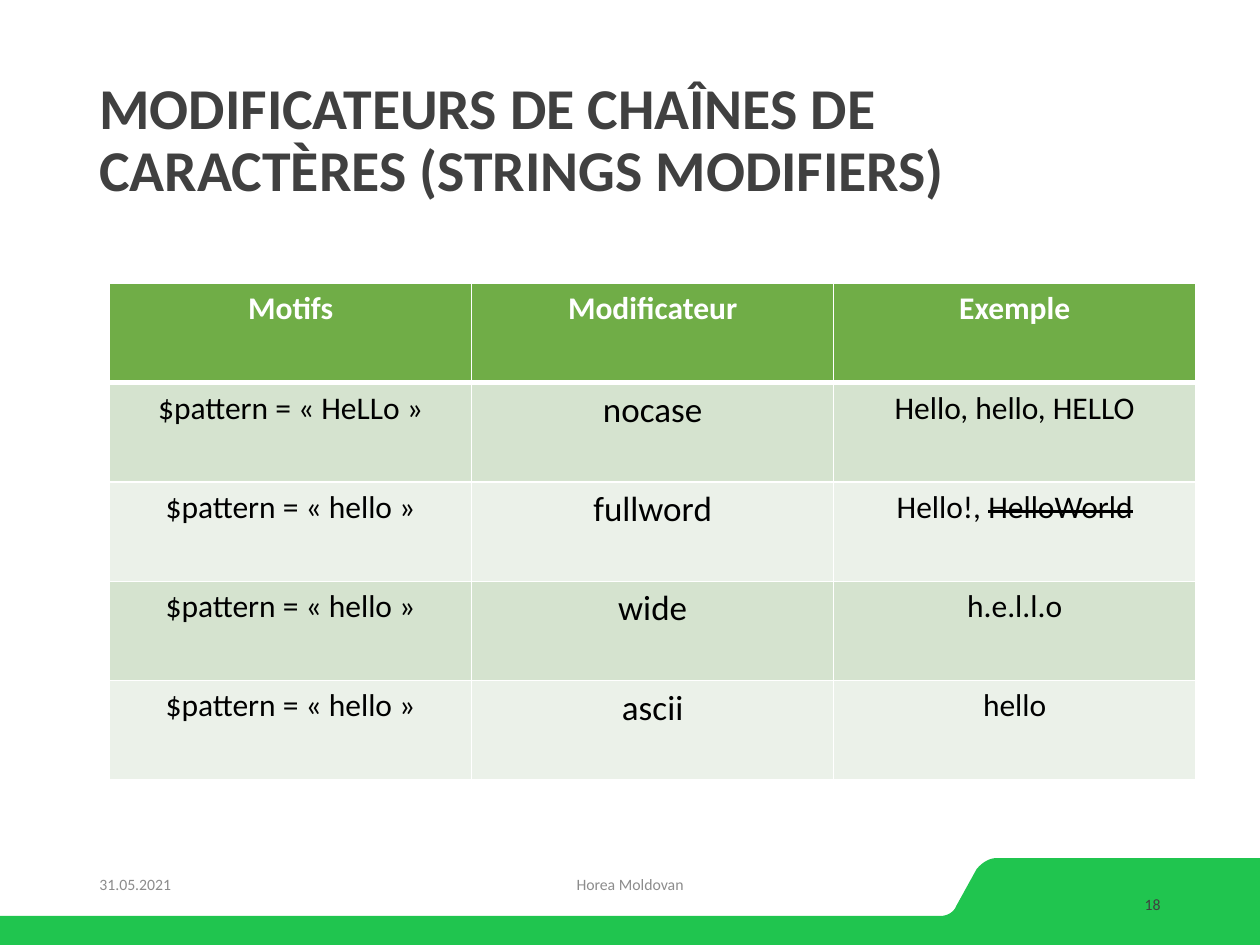
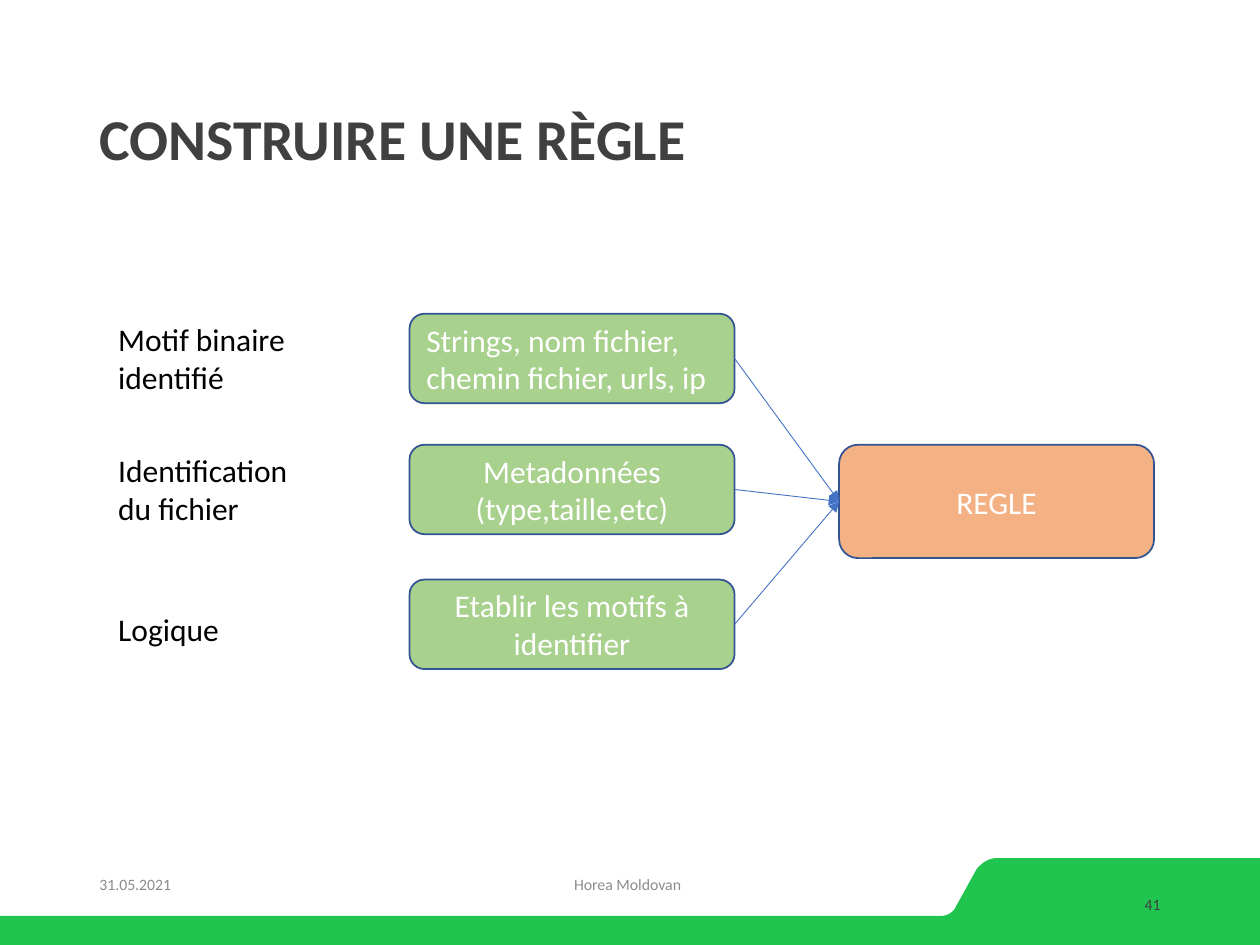
from dataclasses import dataclass
from lxml.etree import SubElement
from pptx import Presentation
from pptx.dml.color import RGBColor as Rgb
from pptx.enum.shapes import MSO_CONNECTOR as Connector, MSO_SHAPE as Preset
from pptx.enum.text import MSO_ANCHOR as Anchor, PP_ALIGN as Align
from pptx.oxml.ns import qn
from pptx.util import Emu, Inches, Pt

COLORS = {
    "band": "20C54F", "title": "404040", "muted": "8C8C8C", "text": "000000",
    "white": "FFFFFF", "header": "70AD47", "odd_row": "D5E3CF", "even_row": "EBF1E9",
    "step": "A9D18E", "rule": "F4B183", "outline": "325491", "arrow": "4472C4",
}
FONT = "Calibri"
# The slide is a grid of square units
COLUMNS, ROWS = 100, 75
UNIT = Inches(10) // COLUMNS


@dataclass
class Box:
    """Area of the slide in grid units."""
    left: float
    top: float
    width: float
    height: float

    def inner(self, left, top, width, height):
        return Box(self.left + left, self.top + top, width, height)

    def emu(self):
        return [Emu(round(n * UNIT)) for n in (self.left, self.top, self.width, self.height)]


SLIDE = Box(0, 0, COLUMNS, ROWS)
TITLE = SLIDE.inner(6.9, 4, 86.2, 14.5)
FOOTER = SLIDE.inner(0, 68.1, COLUMNS, 6.9)


def rgb(name):
    return Rgb.from_string(COLORS[name])


def apply(target, settings):
    for key, value in settings.items():
        setattr(target, key, value)


def write(frame, lines, size, color, bold=False, align=Align.LEFT, anchor=Anchor.MIDDLE, spacing=None):
    """Fill a frame; a line is a string or a list of (text, struck) pairs."""
    apply(frame, {"word_wrap": True, "vertical_anchor": anchor})
    for index, line in enumerate(lines):
        paragraph = frame.paragraphs[0] if index == 0 else frame.add_paragraph()
        apply(paragraph, {"alignment": align, "line_spacing": spacing})
        for text, struck in [(line, False)] if isinstance(line, str) else line:
            run = paragraph.add_run()
            run.text = text
            apply(run.font, {"name": FONT, "size": Pt(size), "bold": bold})
            run.font.color.rgb = rgb(color)
            if struck:
                run.font._element.set("strike", "sngStrike")


def add_text(slide, box, lines, size, color, **style):
    write(slide.shapes.add_textbox(*box.emu()).text_frame, lines, size, color, **style)


def paint(shape, fill, outline=None):
    shape.shadow.inherit = False
    shape.fill.solid()
    shape.fill.fore_color.rgb = rgb(fill)
    if outline:
        shape.line.color.rgb = rgb(outline)
        shape.line.width = Pt(1)
    else:
        shape.line.fill.background()


# Shared frame: title, band and footer
def curve(start, first, second, end, steps=12):
    """Points along a cubic curve, both ends included."""
    points = []
    for step in range(steps + 1):
        t = step / steps
        weights = ((1 - t) ** 3, 3 * t * (1 - t) ** 2, 3 * t * t * (1 - t), t ** 3)
        points.append(tuple(sum(w * p[axis] for w, p in zip(weights, (start, first, second, end)))
                            for axis in (0, 1)))
    return points


def add_band(slide, box):
    low = 4.6
    outline = [
        *curve((79.1, 0), (78.5, 0), (77.9, 0.4), (77.5, 0.9)),
        *curve((75.9, 3.8), (75.7, 4.3), (75.2, low), (74.6, low)),
        (0, low), (0, box.height), (box.width, box.height), (box.width, 0),
    ]
    points = [(round((box.left + x) * UNIT), round((box.top + y) * UNIT)) for x, y in outline]
    builder = slide.shapes.build_freeform(*points[0])
    builder.add_line_segments(points[1:], close=True)
    paint(builder.convert_to_shape(), "band")


def add_footer(slide, box, number, author_left):
    add_band(slide, box)
    entries = [
        (6.9, 0.1, 22.5, "31.05.2021", "muted", Align.LEFT),
        (author_left, 0.1, 33.8, "Horea Moldovan", "muted", Align.CENTER),
        (70.6, 1.7, 22.5, number, "title", Align.RIGHT),
    ]
    for left, top, width, text, color, align in entries:
        add_text(slide, box.inner(left, top, width, 4), [text], 9, color, align=align)


def new_slide(deck, title, number, author_left):
    slide = deck.slides.add_slide(deck.slide_layouts[6])
    add_footer(slide, FOOTER, number, author_left)
    add_text(slide, TITLE, [title], 33, "title", bold=True, spacing=0.9)
    return slide


# Table of modifiers
def set_borders(cell, widths):
    properties = cell._tc.get_or_add_tcPr()
    for position, (side, width) in enumerate(widths.items()):
        line = properties.makeelement(qn(f"a:{side}"), {"w": str(int(Pt(width)))})
        fill = SubElement(line, qn("a:solidFill"))
        SubElement(fill, qn("a:srgbClr"), val=COLORS["white"])
        properties.insert(position, line)


def add_modifiers(slide, box, rows):
    table = slide.shapes.add_table(len(rows), len(rows[0]), *box.emu()).table
    for r, row in enumerate(rows):
        header = r == 0
        fill = "header" if header else "odd_row" if r % 2 else "even_row"
        borders = {"lnL": 1, "lnR": 1, "lnT": 3 if r == 1 else 1, "lnB": 3 if header else 1}
        for c, content in enumerate(row):
            cell = table.cell(r, c)
            size = 20 if c == 1 and not header else 18
            cell.fill.solid()
            cell.fill.fore_color.rgb = rgb(fill)
            write(cell.text_frame, [content], size, "white" if header else "text",
                  bold=header, align=Align.CENTER, anchor=Anchor.TOP)
            cell.vertical_anchor = Anchor.TOP
            set_borders(cell, borders)


# Diagram of the steps leading to a rule
def add_block(slide, box, lines, fill, align=Align.CENTER):
    block = slide.shapes.add_shape(Preset.ROUNDED_RECTANGLE, *box.emu())
    paint(block, fill, "outline")
    write(block.text_frame, lines, 18, "white", align=align)
    return block


def add_arrow(slide, source, target):
    arrow = slide.shapes.add_connector(Connector.STRAIGHT, 0, 0, 0, 0)
    arrow.begin_connect(source, 3)
    arrow.end_connect(target, 1)
    arrow.line.color.rgb = rgb("arrow")
    arrow.line.width = Pt(0.5)
    SubElement(arrow.line._get_or_add_ln(), qn("a:tailEnd"), type="triangle")
    SubElement(arrow._element.spPr, qn("a:effectLst"))


def add_rule_diagram(slide, box, steps):
    step_height = 7.1
    rule = add_block(slide, box.inner(58.2, 10.4, 25, 9), ["REGLE"], "rule")
    for top, label_top, label, content, align in steps:
        add_text(slide, box.inner(0, label_top, 20, step_height), label, 18, "text", anchor=Anchor.TOP)
        step = add_block(slide, box.inner(24.1, top, 25.8, step_height), content, "step", align)
        add_arrow(slide, step, rule)


def main():
    deck = Presentation()
    apply(deck, {"slide_width": UNIT * COLUMNS, "slide_height": UNIT * ROWS})

    modifiers = new_slide(deck, "MODIFICATEURS DE CHAÎNES DE CARACTÈRES (STRINGS MODIFIERS)", "18", 33.1)
    add_modifiers(modifiers, SLIDE.inner(8.7, 22.5, 86.2, 39.4), [
        ("Motifs", "Modificateur", "Exemple"),
        ("$pattern = « HeLLo »", "nocase", "Hello, hello, HELLO"),
        ("$pattern = « hello »", "fullword", [("Hello!, ", False), ("HelloWorld", True)]),
        ("$pattern = « hello »", "wide", "h.e.l.l.o"),
        ("$pattern = « hello »", "ascii", "hello"),
    ])

    building = new_slide(deck, "CONSTRUIRE UNE RÈGLE", "41", 32.9)
    add_rule_diagram(building, SLIDE.inner(8.4, 24.9, 83.2, 28.2), [
        (0, 0, ["Motif binaire", "identifié"],
         ["Strings, nom fichier,", "chemin fichier, urls, ip"], Align.LEFT),
        (10.4, 10.4, ["Identification", "du fichier"],
         ["Metadonnées (type,taille,etc)"], Align.CENTER),
        (21.1, 23, ["Logique"], ["Etablir les motifs à identifier"], Align.CENTER),
    ])
    deck.save("out.pptx")


if __name__ == "__main__":
    main()
